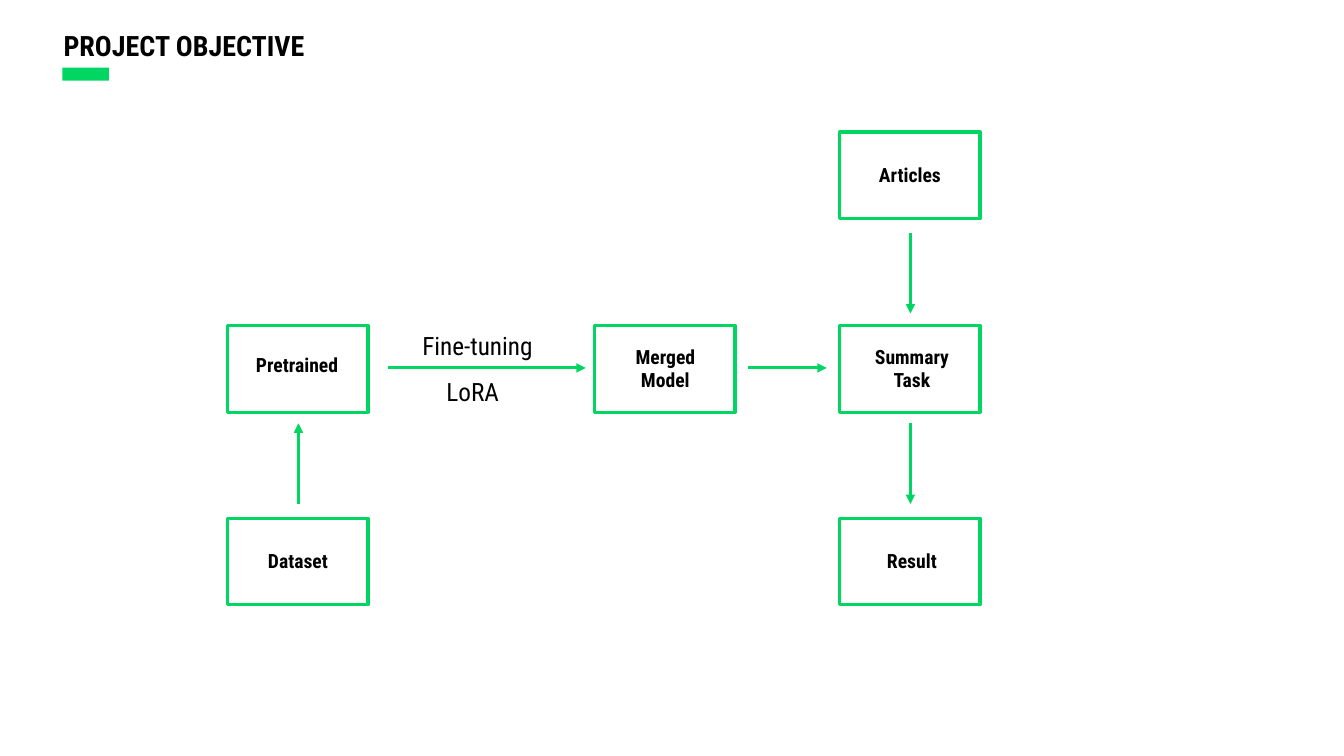
from dataclasses import dataclass

from lxml import etree
from pptx import Presentation
from pptx.dml.color import RGBColor
from pptx.enum.shapes import MSO_CONNECTOR, MSO_SHAPE
from pptx.enum.text import MSO_ANCHOR, MSO_AUTO_SIZE, PP_ALIGN
from pptx.oxml.ns import qn
from pptx.util import Inches, Pt

RECTANGLE = MSO_SHAPE.RECTANGLE
STRAIGHT = MSO_CONNECTOR.STRAIGHT
TOP = MSO_ANCHOR.TOP
GROW = MSO_AUTO_SIZE.SHAPE_TO_FIT_TEXT
LEFT, CENTER = PP_ALIGN.LEFT, PP_ALIGN.CENTER
TITLE_ONLY_LAYOUT = 5

Area = tuple[float, float, float, float]
Point = tuple[float, float]


@dataclass(frozen=True)
class Theme:
    font: str = "Roboto Condensed"
    ink: RGBColor = RGBColor(0x00, 0x00, 0x00)
    accent: RGBColor = RGBColor(0x00, 0xD6, 0x61)
    title_size: int = 20
    method_size: int = 18
    stage_size: int = 14
    line_width: float = 2.25


@dataclass(frozen=True)
class Label:
    text: str
    area: Area
    centered: bool = True


@dataclass(frozen=True)
class Stage:
    left: float
    top: float
    label: Label


@dataclass(frozen=True)
class Flow:
    start: Point
    end: Point


THEME = Theme()
STAGE_WIDTH, STAGE_HEIGHT = 1.39, 0.86
DATA_COLUMN, MODEL_COLUMN, TASK_COLUMN = 2.26, 5.9, 8.33
INPUT_ROW, MAIN_ROW, OUTPUT_ROW = 1.31, 3.23, 5.14
DATA_AXIS, TASK_AXIS, MAIN_AXIS = 2.96, 9.03, 3.65

STAGES = [
    Stage(DATA_COLUMN, MAIN_ROW, Label("Pretrained", (2.44, 3.45, 1.04, 0.34), False)),
    Stage(MODEL_COLUMN, MAIN_ROW, Label("Merged Model", (6.13, 3.37, 0.94, 0.57))),
    Stage(TASK_COLUMN, MAIN_ROW, Label("Summary Task", (8.55, 3.37, 0.99, 0.57))),
    Stage(TASK_COLUMN, INPUT_ROW, Label("Articles", (8.44, 1.57, 1.17, 0.34))),
    Stage(TASK_COLUMN, OUTPUT_ROW, Label("Result", (8.46, 5.4, 1.17, 0.34))),
    Stage(DATA_COLUMN, OUTPUT_ROW, Label("Dataset", (2.56, 5.4, 0.8, 0.34), False)),
]
METHODS = [
    Label("Fine-tuning", (4.09, 3.23, 1.31, 0.4), False),
    Label("LoRA", (4.33, 3.68, 0.72, 0.4), False),
]
FLOWS = [
    Flow((3.85, MAIN_AXIS), (5.81, MAIN_AXIS)),
    Flow((7.42, MAIN_AXIS), (8.2, MAIN_AXIS)),
    Flow((TASK_AXIS, 2.31), (TASK_AXIS, 3.11)),
    Flow((TASK_AXIS, 4.2), (TASK_AXIS, 5)),
    Flow((DATA_AXIS, 5), (DATA_AXIS, 4.2)),
]


def write_text(shape, text: str, *, size: int, bold: bool = False,
               align: PP_ALIGN = LEFT, wrap: bool = False) -> None:
    frame = shape.text_frame
    frame.word_wrap = wrap
    frame.auto_size = GROW
    frame.vertical_anchor = TOP
    paragraph = frame.paragraphs[0]
    paragraph.alignment = align
    run = paragraph.add_run()
    run.text = text
    run.font.name = THEME.font
    run.font.size = Pt(size)
    run.font.bold = bold
    run.font.color.rgb = THEME.ink


def add_title(slide, text: str, area: Area) -> None:
    title = slide.shapes.title
    title.left, title.top, title.width, title.height = map(Inches, area)
    write_text(title, text, size=THEME.title_size, bold=True)


def add_label(slide, label: Label, *, size: int, bold: bool = False) -> None:
    box = slide.shapes.add_textbox(*map(Inches, label.area))
    write_text(box, label.text, size=size, bold=bold, wrap=label.centered,
               align=CENTER if label.centered else LEFT)


def add_rectangle(slide, area: Area, *, filled: bool) -> None:
    """Draw a solid accent bar, or an accent outline when not filled."""
    rectangle = slide.shapes.add_shape(RECTANGLE, *map(Inches, area))
    rectangle.shadow.inherit = False
    if filled:
        rectangle.fill.solid()
        rectangle.fill.fore_color.rgb = THEME.accent
        rectangle.line.fill.background()
    else:
        rectangle.fill.background()
        rectangle.line.color.rgb = THEME.accent
        rectangle.line.width = Pt(THEME.line_width)


def add_stage(slide, stage: Stage) -> None:
    add_rectangle(slide, (stage.left, stage.top, STAGE_WIDTH, STAGE_HEIGHT), filled=False)
    add_label(slide, stage.label, size=THEME.stage_size, bold=True)


def add_flow(slide, flow: Flow) -> None:
    arrow = slide.shapes.add_connector(STRAIGHT, *map(Inches, flow.start + flow.end))
    arrow.line.color.rgb = THEME.accent
    arrow.line.width = Pt(THEME.line_width)
    etree.SubElement(arrow.line._get_or_add_ln(), qn("a:tailEnd"), type="triangle")
    etree.SubElement(arrow._element.spPr, qn("a:effectLst"))


def main() -> None:
    deck = Presentation()
    deck.slide_width, deck.slide_height = Inches(13.33), Inches(7.5)
    slide = deck.slides.add_slide(deck.slide_layouts[TITLE_ONLY_LAYOUT])
    add_title(slide, "PROJECT OBJECTIVE", (0.53, 0.23, 2.63, 0.44))
    add_rectangle(slide, (0.62, 0.67, 0.46, 0.13), filled=True)
    for stage in STAGES:
        add_stage(slide, stage)
    for method in METHODS:
        add_label(slide, method, size=THEME.method_size)
    for flow in FLOWS:
        add_flow(slide, flow)
    deck.save("out.pptx")


if __name__ == "__main__":
    main()
